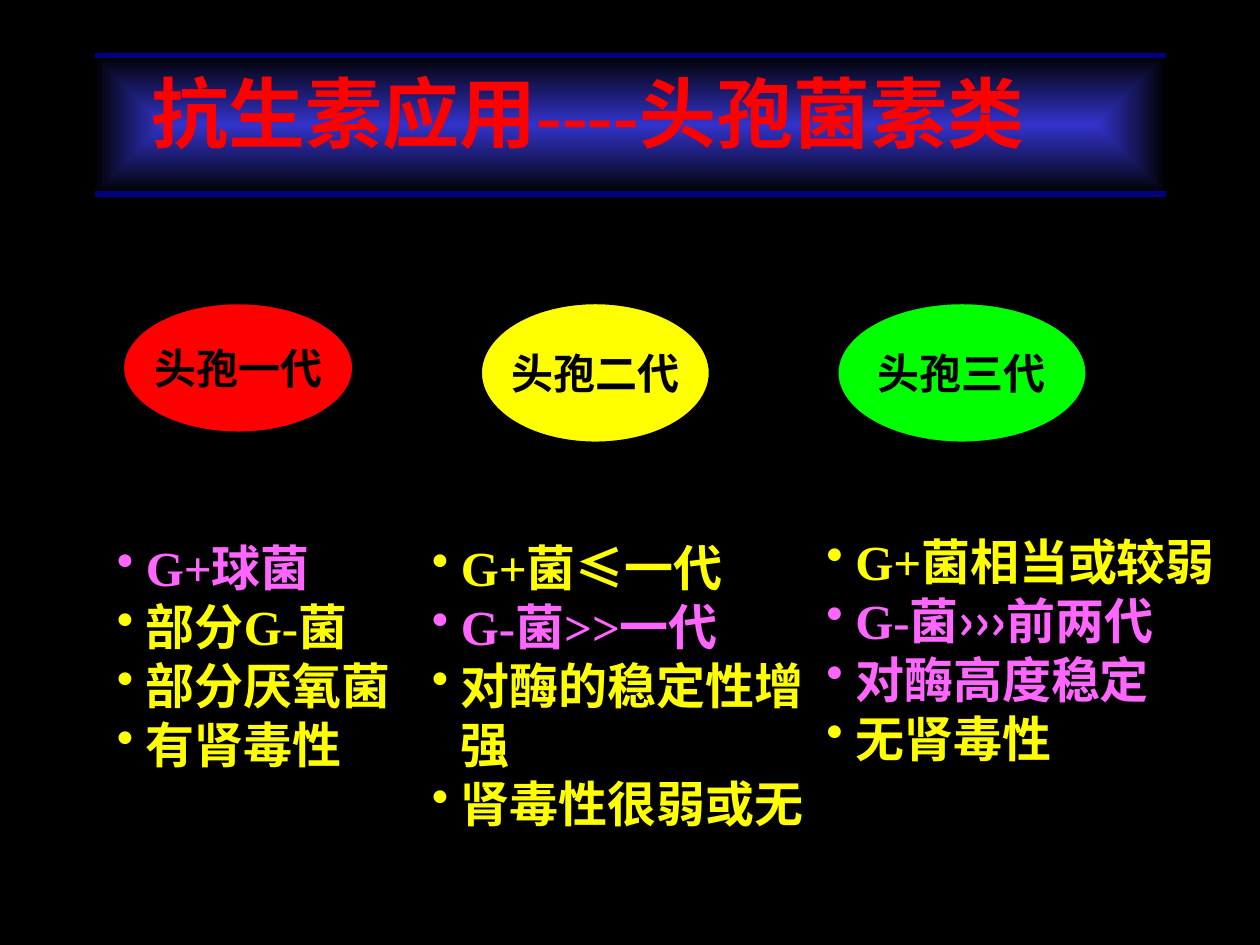
from dataclasses import dataclass

from lxml import etree
from pptx import Presentation
from pptx.dml.color import RGBColor
from pptx.enum.shapes import MSO_CONNECTOR, MSO_SHAPE
from pptx.enum.text import MSO_ANCHOR, PP_ALIGN
from pptx.oxml.ns import qn
from pptx.util import Inches, Pt

RECT, OVAL = MSO_SHAPE.RECTANGLE, MSO_SHAPE.OVAL
LINE = MSO_CONNECTOR.STRAIGHT
LEFT, CENTER = PP_ALIGN.LEFT, PP_ALIGN.CENTER
TOP, MIDDLE, BOTTOM = MSO_ANCHOR.TOP, MSO_ANCHOR.MIDDLE, MSO_ANCHOR.BOTTOM


@dataclass(frozen=True)
class Theme:
    """Colours, fonts and type sizes of the slide."""
    black: str = "000000"
    blue: str = "3333CC"
    navy: str = "000080"
    red: str = "FF0000"
    yellow: str = "FFFF00"
    green: str = "00FF00"
    pink: str = "FF66FF"
    serif: str = "Times New Roman"
    sans: str = "Arial"
    title: int = 44
    label: int = 24
    body: int = 28


THEME = Theme()


def rgb(code):
    """Turn a hex code into a colour."""
    return RGBColor.from_string(code)


def box(at):
    """Turn left, top, width and height into lengths."""
    return [Inches(n) for n in at]


def write(para, text, size=THEME.body, color=THEME.yellow, font=THEME.serif):
    """Add one bold run to a paragraph."""
    run = para.add_run()
    run.text = text
    run.font.size = Pt(size)
    run.font.name = font
    run.font.bold = True
    run.font.color.rgb = rgb(color)


def frame(shape, anchor=TOP, wrap=True):
    """Set up and return the text frame of a shape."""
    area = shape.text_frame
    area.word_wrap = wrap
    area.vertical_anchor = anchor
    return area


def bullet(para, color):
    """Give a paragraph a hanging coloured bullet."""
    props = para._p.get_or_add_pPr()
    hang = Inches(0.23)
    props.set("marL", str(hang))
    props.set("indent", str(-hang))
    tint = etree.SubElement(props, qn("a:buClr"))
    etree.SubElement(tint, qn("a:srgbClr"), val=color)
    etree.SubElement(props, qn("a:buChar"), char="•")


def band(slide, left, top, width, height):
    """Draw the glowing title band with a rule at top and bottom."""
    shape = slide.shapes.add_shape(RECT, *box((left, top, width, height)))
    shape.shadow.inherit = False
    shape.line.fill.background()
    shape.fill.gradient()
    for stop, color in zip(shape.fill.gradient_stops, (THEME.blue, THEME.black)):
        stop.color.rgb = rgb(color)
    grad = shape._element.spPr.find(qn("a:gradFill"))
    grad.remove(grad.find(qn("a:lin")))
    glow = etree.SubElement(grad, qn("a:path"), path="rect")
    sides = dict.fromkeys("ltrb", "50000")
    etree.SubElement(glow, qn("a:fillToRect"), **sides)
    for y in (top + height, top):
        ends = box((left, y, left + width, y))
        rule = slide.shapes.add_connector(LINE, *ends)
        rule.line.color.rgb = rgb(THEME.navy)
        rule.line.width = Pt(3)
        etree.SubElement(rule._element.spPr, qn("a:effectLst"))


def title(slide, text, at):
    """Place the title text."""
    para = frame(slide.shapes.add_textbox(*box(at)), BOTTOM).paragraphs[0]
    para.alignment = CENTER
    write(para, text, size=THEME.title, color=THEME.red)


def oval(slide, text, at, color):
    """Draw a filled oval with its label."""
    shape = slide.shapes.add_shape(OVAL, *box(at))
    shape.shadow.inherit = False
    shape.fill.solid()
    shape.fill.fore_color.rgb = rgb(color)
    shape.line.color.rgb = rgb(THEME.black)
    shape.line.width = Pt(0.75)
    para = frame(shape, MIDDLE, wrap=False).paragraphs[0]
    para.alignment = CENTER
    write(para, text, size=THEME.label, color=THEME.black)


def points(slide, at, rows):
    """Place a bulleted list of coloured rows."""
    area = frame(slide.shapes.add_textbox(*box(at)))
    for i, (color, *parts) in enumerate(rows):
        para = area.add_paragraph() if i else area.paragraphs[0]
        para.alignment = LEFT
        bullet(para, color)
        for part in parts:
            font = THEME.sans if part == "≤" else THEME.serif
            write(para, part, color=color, font=font)


def main():
    """Build and save the slide."""
    deck = Presentation()
    deck.slide_width, deck.slide_height = Inches(10), Inches(7.5)
    slide = deck.slides.add_slide(deck.slide_layouts[6])
    slide.background.fill.solid()
    slide.background.fill.fore_color.rgb = rgb(THEME.black)

    band(slide, 0.75, 0.44, 8.5, 1.1)
    title(slide, "抗生素应用----头孢菌素类", (0.58, 0.47, 8.17, 0.83))

    oval(slide, "头孢一代", (0.98, 2.41, 1.82, 1.02), THEME.red)
    oval(slide, "头孢二代", (3.82, 2.41, 1.81, 1.1), THEME.yellow)
    oval(slide, "头孢三代", (6.65, 2.41, 1.97, 1.1), THEME.green)

    pink, yellow = THEME.pink, THEME.yellow
    points(slide, (0.83, 4.22, 3, 2.9), [
        (pink, "G+球菌"),
        (yellow, "部分G-菌"),
        (yellow, "部分厌氧菌"),
        (yellow, "有肾毒性"),
    ])
    points(slide, (3.33, 4.22, 3.17, 2.9), [
        (yellow, "G+菌", "≤", "一代"),
        (pink, "G-菌>>一代"),
        (yellow, "对酶的稳定性增强"),
        (yellow, "肾毒性很弱或无"),
    ])
    points(slide, (6.46, 4.17, 3.28, 1.97), [
        (yellow, "G+菌相当或较弱"),
        (pink, "G-菌›››前两代"),
        (pink, "对酶高度稳定"),
        (yellow, "无肾毒性"),
    ])
    deck.save("out.pptx")


if __name__ == "__main__":
    main()
